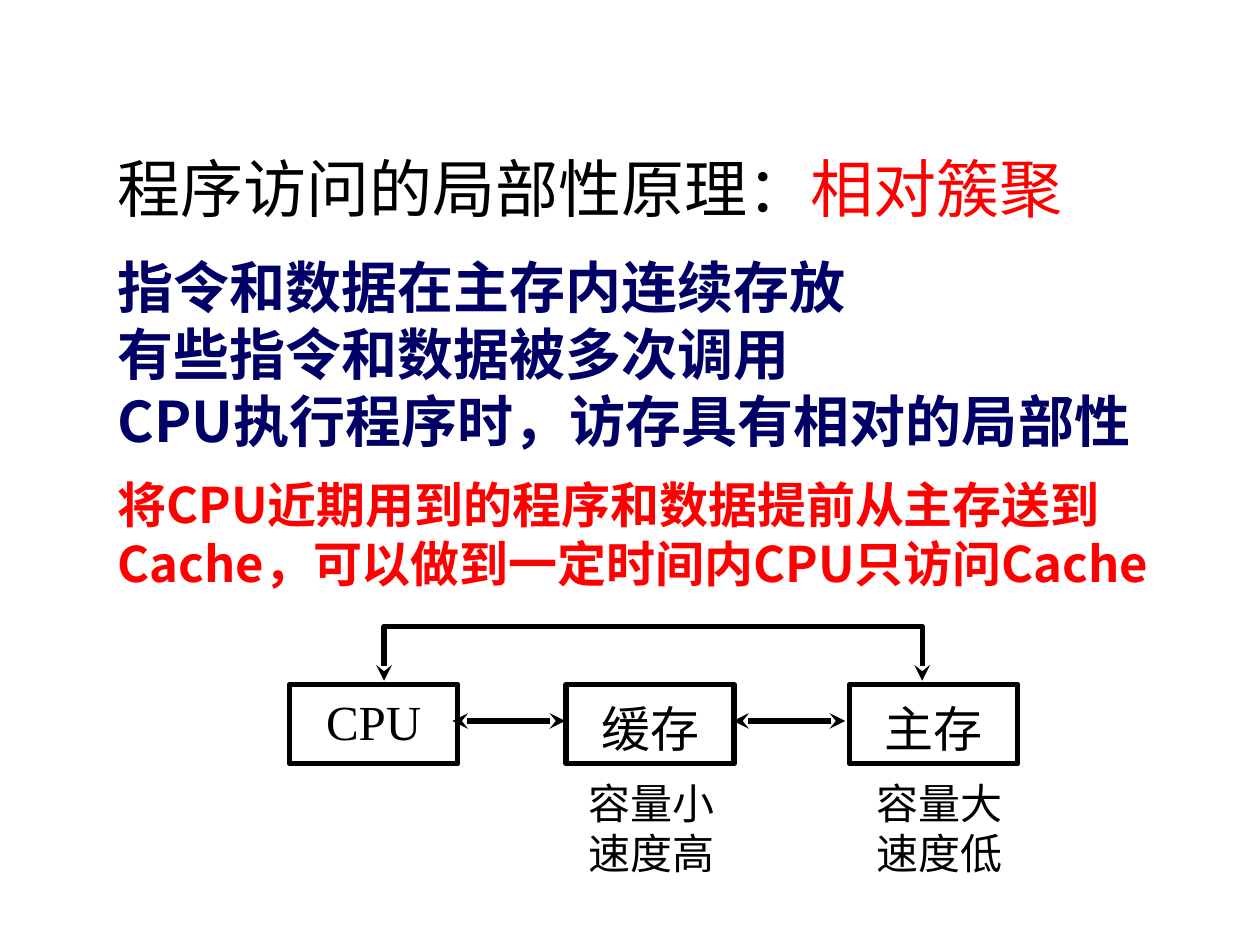
from lxml import etree
from pptx import Presentation
from pptx.dml.color import RGBColor
from pptx.enum import shapes, text
from pptx.oxml import ns
from pptx.util import Pt

BLACK = RGBColor(0x00, 0x00, 0x00)
RED = RGBColor(0xFF, 0x00, 0x00)
NAVY = RGBColor(0x00, 0x00, 0x66)
SERIF = "Times New Roman"
CHINESE = "Noto Sans CJK SC"


def format_paragraph(paragraph, size, color, latin=SERIF, bold=False):
    paragraph.line_spacing = Pt(size * 1.2)
    paragraph.space_before = Pt(0)
    font = paragraph.font
    font.size, font.bold, font.name = Pt(size), bold, latin
    font.color.rgb = color
    etree.SubElement(font._element, ns.qn("a:ea"), typeface=CHINESE)


def style_line(shape, arrows):
    shape.line.color.rgb = BLACK
    shape.line.width = Pt(3)
    if arrows:
        line = shape.line._get_or_add_ln()
        for end in ("a:headEnd", "a:tailEnd"):
            etree.SubElement(line, ns.qn(end), type="stealth")


presentation = Presentation()
presentation.slide_width, presentation.slide_height = Pt(720), Pt(540)
slide = presentation.slides.add_slide(presentation.slide_layouts[1])

title, body = slide.placeholders
for placeholder, top, height in ((title, 77, 60), (body, 140.5, 231.5)):
    placeholder.left, placeholder.top = Pt(60), Pt(top)
    placeholder.width, placeholder.height = Pt(660), Pt(height)
    placeholder.text_frame.auto_size = text.MSO_AUTO_SIZE.NONE
    placeholder.text_frame.vertical_anchor = text.MSO_ANCHOR.TOP

title.text_frame.margin_top = Pt(8.5)
heading = title.text_frame.paragraphs[0]
heading.alignment = text.PP_ALIGN.LEFT
heading.add_run().text = "程序访问的局部性原理："
highlight = heading.add_run()
highlight.text = "相对簇聚"
highlight.font.color.rgb = RED
format_paragraph(heading, 36, BLACK)

points = [
    ("指令和数据在主存内连续存放", 32, NAVY, SERIF),
    ("有些指令和数据被多次调用", 32, NAVY, SERIF),
    ("CPU执行程序时，访存具有相对的局部性", 32, NAVY, CHINESE),
    ("将CPU近期用到的程序和数据提前从主存送到Cache，可以做到一定时间内CPU只访问Cache", 28, RED, CHINESE),
]
body.text_frame.text = "\n".join(point[0] for point in points)
for paragraph, (_, size, color, latin) in zip(body.text_frame.paragraphs, points):
    properties = paragraph._p.get_or_add_pPr()
    properties.set("marL", "0")
    properties.set("indent", "0")
    etree.SubElement(properties, ns.qn("a:buNone"))
    format_paragraph(paragraph, size, color, latin, bold=True)
paragraph.space_before = Pt(12)

for name, left, margin in (("CPU", 165.5, 4), ("缓存", 323.5, 8), ("主存", 485.5, 8)):
    box = slide.shapes.add_shape(
        shapes.MSO_SHAPE.RECTANGLE, Pt(left), Pt(391), Pt(96), Pt(45.5))
    box.shadow.inherit = False
    box.fill.background()
    style_line(box, arrows=False)
    frame = box.text_frame
    frame.text = name
    frame.margin_top = Pt(margin)
    frame.vertical_anchor = text.MSO_ANCHOR.TOP
    frame.paragraphs[0].alignment = text.PP_ALIGN.CENTER
    format_paragraph(frame.paragraphs[0], 28, BLACK)

builder = slide.shapes.build_freeform(Pt(527), Pt(389))
builder.add_line_segments(
    [(Pt(527), Pt(358)), (Pt(219.5), Pt(358)), (Pt(219.5), Pt(389))], close=False)
direct_route = builder.convert_to_shape()
direct_route.shadow.inherit = False
direct_route.fill.background()
style_line(direct_route, arrows=True)

for start, end in ((258.5, 323), (419, 483)):
    link = slide.shapes.add_connector(
        shapes.MSO_CONNECTOR.STRAIGHT, Pt(start), Pt(412), Pt(end), Pt(412))
    style_line(link, arrows=True)
    etree.SubElement(link._element.spPr, ns.qn("a:effectLst"))

for left, width, traits in ((329, 110, "容量小\n速度高"), (494, 115, "容量大\n速度低")):
    label = slide.shapes.add_textbox(Pt(left), Pt(437), Pt(width), Pt(65))
    frame = label.text_frame
    frame.word_wrap = True
    frame.margin_top = Pt(7)
    frame.text = traits
    for paragraph in frame.paragraphs:
        format_paragraph(paragraph, 24, BLACK)

presentation.save("out.pptx")
